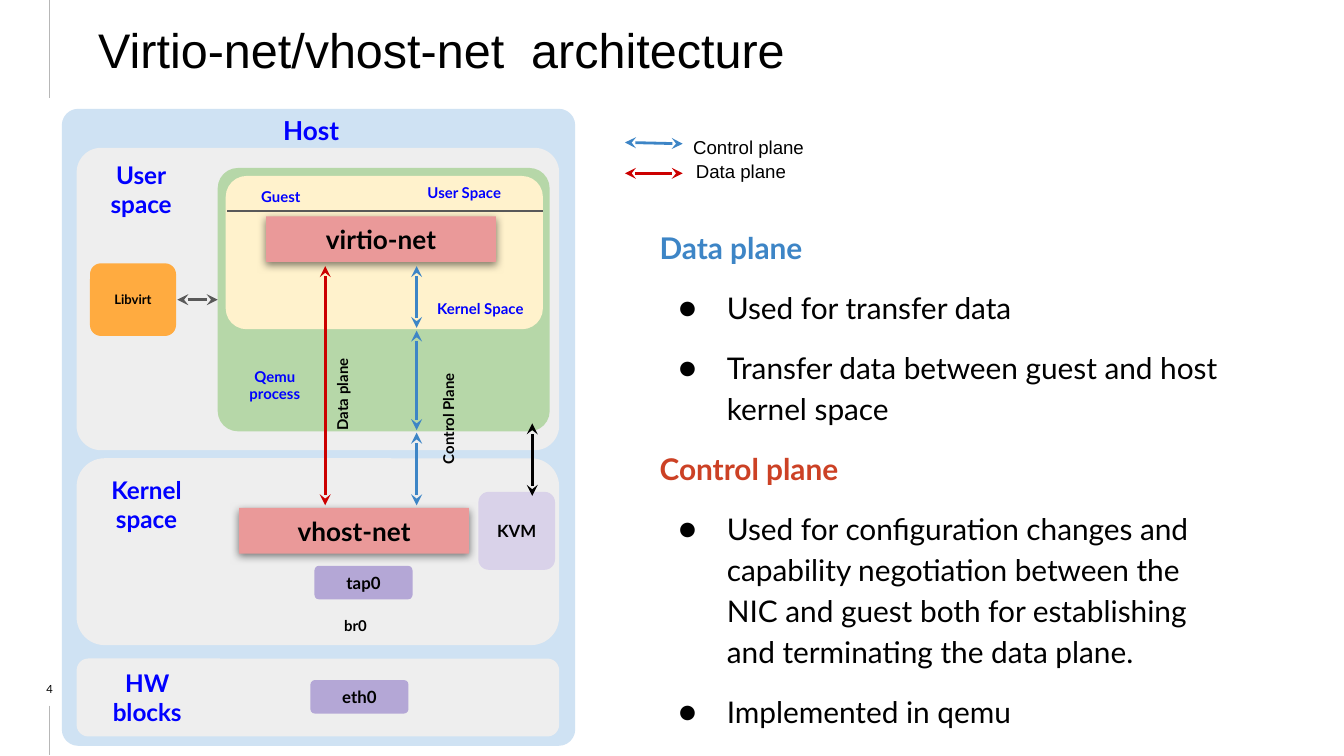
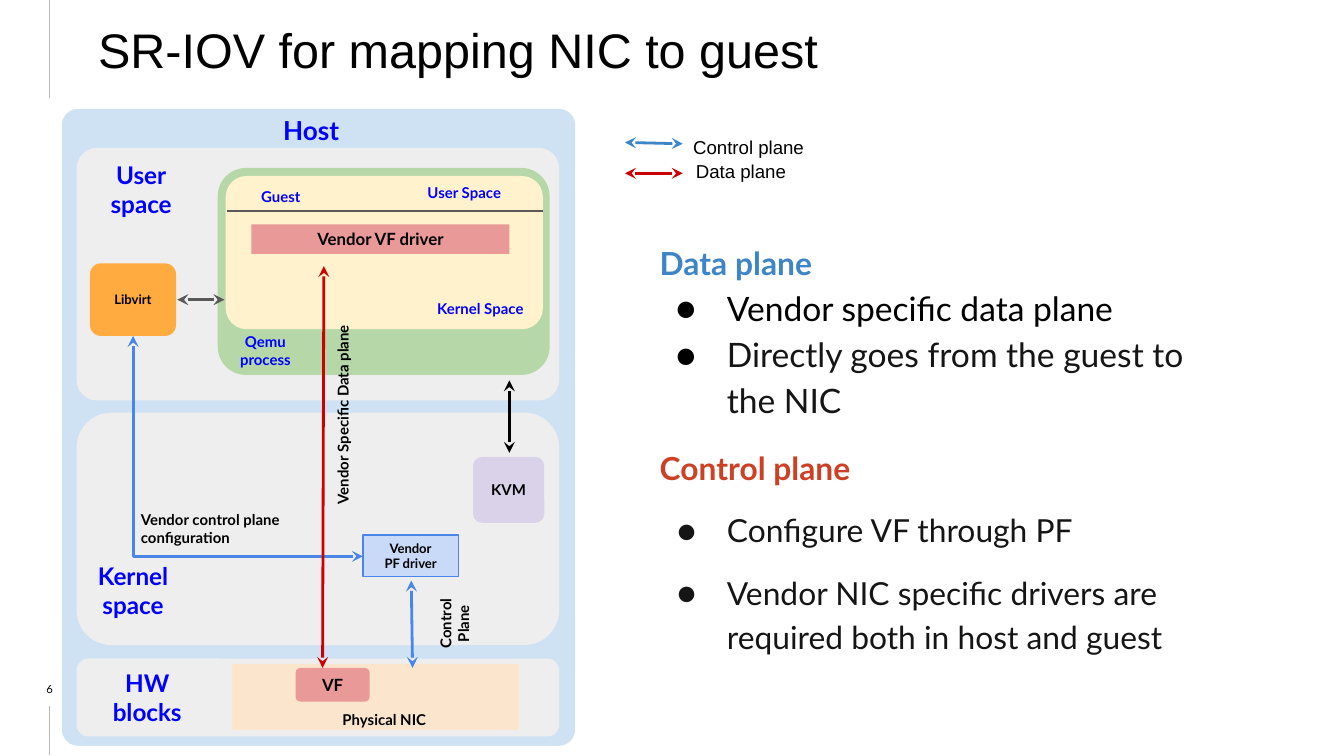
from dataclasses import dataclass
from typing import Any

from lxml.etree import SubElement
from pptx import Presentation
from pptx.dml.color import RGBColor
from pptx.enum.shapes import MSO_CONNECTOR, MSO_SHAPE
from pptx.enum.text import MSO_ANCHOR, MSO_AUTO_SIZE, PP_ALIGN
from pptx.oxml.ns import qn
from pptx.util import Inches, Pt


@dataclass(frozen=True)
class Theme:
    title_font: str = "Arial"
    body_font: str = "Lato"
    black: str = "000000"
    ink: str = "151515"
    label_blue: str = "0000FF"
    control: str = "3D85C6"
    vendor_control: str = "4A86E8"
    data: str = "CC0000"
    control_heading: str = "CC4125"
    rule: str = "B7B7B7"
    gray_line: str = "595959"
    host: str = "CFE2F3"
    space: str = "EEEEEE"
    qemu: str = "B6D7A8"
    guest: str = "FFF2CC"
    libvirt: str = "FFAB40"
    driver: str = "EA9999"
    device: str = "B4A7D6"
    kvm: str = "D9D2E9"
    nic: str = "FCE5CD"
    pf_driver: str = "C9DAF8"
    title_size: int = 26
    host_size: int = 14
    space_size: int = 13
    legend_size: int = 10
    block_size: int = 9
    label_size: int = 8
    small_size: int = 7
    number_size: int = 6


THEME = Theme()


def rgb(color):
    return RGBColor.from_string(color)


def add_bullet(paragraph, color, indent):
    properties = paragraph._p.get_or_add_pPr()
    properties.set("marL", str(Inches(0.5)))
    properties.set("indent", str(-Inches(indent)))
    bullet_color = SubElement(properties, qn("a:buClr"))
    SubElement(bullet_color, qn("a:srgbClr"), val=color)
    SubElement(properties, qn("a:buFont"), typeface=THEME.body_font)
    SubElement(properties, qn("a:buChar"), char="●")


def write_text(frame, text, *, size, color=THEME.black, bold=False, font=THEME.body_font,
               align=PP_ALIGN.LEFT, spacing=None, before=0, bullet=None, indent=0.36):
    """Append each line of the text to the frame as a paragraph."""
    for line in text.split("\n"):
        first = not frame.paragraphs[0].runs
        paragraph = frame.paragraphs[0] if first else frame.add_paragraph()
        if bullet:
            add_bullet(paragraph, bullet, indent)
        paragraph.alignment = align
        if spacing:
            paragraph.line_spacing = spacing
        if before and not first:
            paragraph.space_before = Pt(before)
        run = paragraph.add_run()
        run.text = line
        run.font.name = font
        run.font.size = Pt(size)
        run.font.bold = bold
        run.font.color.rgb = rgb(color)


def prepare_frame(shape, anchor, margins=(0.1, 0.1, 0.1, 0.1)):
    frame = shape.text_frame
    frame.word_wrap = True
    frame.auto_size = MSO_AUTO_SIZE.NONE
    frame.vertical_anchor = anchor
    (frame.margin_left, frame.margin_top,
     frame.margin_right, frame.margin_bottom) = map(Inches, margins)
    return frame


def add_shadow(shape):
    effects = shape._element.spPr.find(qn("a:effectLst"))
    shadow = SubElement(effects, qn("a:outerShdw"), blurRad=str(Pt(4.5)), dist=str(Pt(1.5)),
                        dir="5400000", algn="bl", rotWithShape="0")
    shadow_color = SubElement(shadow, qn("a:srgbClr"), val=THEME.black)
    SubElement(shadow_color, qn("a:alpha"), val="50000")


@dataclass
class Region:
    """A part of the slide; lengths are inches from its top left corner."""
    shapes: Any
    left: float = 0
    top: float = 0

    def place(self, x, y):
        return Inches(self.left + x), Inches(self.top + y)

    def block(self, x, y, width, height, fill, text="", corner=None, line=None,
              size=THEME.block_size, shadow=False):
        kind = MSO_SHAPE.RECTANGLE if corner is None else MSO_SHAPE.ROUNDED_RECTANGLE
        shape = self.shapes.add_shape(kind, *self.place(x, y), Inches(width), Inches(height))
        shape.shadow.inherit = False
        if corner is not None:
            shape.adjustments[0] = corner
        shape.fill.solid()
        shape.fill.fore_color.rgb = rgb(fill)
        if line:
            shape.line.color.rgb = rgb(line)
            shape.line.width = Pt(0.75)
        else:
            shape.line.fill.background()
        if shadow:
            add_shadow(shape)
        if text:
            write_text(prepare_frame(shape, MSO_ANCHOR.MIDDLE), text, size=size, bold=True,
                       align=PP_ALIGN.CENTER)

    def text_box(self, x, y, width, height, anchor=MSO_ANCHOR.TOP, margins=(0.1,) * 4):
        box = self.shapes.add_textbox(*self.place(x, y), Inches(width), Inches(height))
        return box, prepare_frame(box, anchor, margins)

    def label(self, x, y, width, height, text, size=THEME.label_size,
              color=THEME.label_blue, rotation=0, align=PP_ALIGN.CENTER):
        box, frame = self.text_box(x, y, width, height, MSO_ANCHOR.MIDDLE)
        box.rotation = rotation
        write_text(frame, text, size=size, color=color, bold=True, align=align)

    def line(self, start, end, color, width=1.5, arrows=False, kind=MSO_CONNECTOR.STRAIGHT):
        connector = self.shapes.add_connector(kind, *self.place(*start), *self.place(*end))
        connector.line.color.rgb = rgb(color)
        connector.line.width = Pt(width)
        if arrows:
            for end_name in ("a:headEnd", "a:tailEnd"):
                SubElement(connector.line._get_or_add_ln(), qn(end_name), type="stealth")
        SubElement(connector._element.spPr, qn("a:effectLst"))
        return connector

    def arrow(self, start, end, color):
        self.line(start, end, color, arrows=True)

    def down_then_right_arrow(self, start, end, color):
        """An elbow is a single bend, turned a quarter and mirrored about its centre."""
        (x1, y1), (x2, y2) = start, end
        center_x, center_y = (x1 + x2) / 2, (y1 + y2) / 2
        half_width, half_height = (y2 - y1) / 2, (x2 - x1) / 2
        connector = self.line((center_x + half_width, center_y - half_height),
                              (center_x - half_width, center_y + half_height),
                              color, arrows=True, kind=MSO_CONNECTOR.ELBOW)
        properties = connector._element.spPr
        properties.find(qn("a:prstGeom")).set("prst", "bentConnector2")
        properties.find(qn("a:xfrm")).set("rot", "16200000")


def grouped_region(slide, left, top):
    return Region(slide.shapes.add_group_shape().shapes, left, top)


def add_titled_slide(presentation, title, number):
    slide = presentation.slides.add_slide(presentation.slide_layouts[5])
    page = Region(slide.shapes)
    for start, end in ((0, 0.73), (5.25, 5.62)):
        page.line((0.37, start), (0.37, end), THEME.rule, width=0.75)
    shape = slide.shapes.title
    shape.left, shape.top, shape.width, shape.height = map(Inches, (0.37, 0.05, 8.71, 0.63))
    write_text(prepare_frame(shape, MSO_ANCHOR.MIDDLE, (0.36, 0.07, 0.07, 0.07)), title,
               size=THEME.title_size, font=THEME.title_font)
    _, frame = page.text_box(0.07, 5.06, 0.6, 0.12, MSO_ANCHOR.BOTTOM, (0,) * 4)
    write_text(frame, str(number), size=THEME.number_size, align=PP_ALIGN.CENTER)
    return slide


def draw_legend(region):
    entries = (("Control plane", THEME.control, 0.15, 0.16, 0.41, 0, 1.43),
               ("Data plane", THEME.data, 0.38, 0.38, 0.43, 0.18, 0.87))
    for text, color, arrow_start, arrow_end, text_left, text_top, width in entries:
        region.arrow((0, arrow_start), (0.43, arrow_end), color)
        _, frame = region.text_box(text_left, text_top, width, 0.4)
        write_text(frame, text, size=THEME.legend_size, font=THEME.title_font)


def draw_notes(region, width, height, paragraphs):
    box, frame = region.text_box(0, 0, width, height)
    for text, style in paragraphs:
        write_text(frame, text, **style)
    frame.auto_size = MSO_AUTO_SIZE.SHAPE_TO_FIT_TEXT


def draw_host(region, user_height, kernel_top, qemu_height, qemu_corner, qemu_label,
              kernel_label, libvirt_link_end):
    kernel_bottom = 3.99
    region.block(0, 0, 3.82, 4.74, THEME.host, corner=0.032)
    for top, height, corner in ((0.29, user_height, 0.081),
                                (kernel_top, kernel_bottom - kernel_top, 0.15),
                                (4.09, 0.58, 0.15)):
        region.block(0.11, top, 3.59, height, THEME.space, corner=corner)
    region.block(0.21, 1.15, 0.64, 0.54, THEME.libvirt, "Libvirt", corner=0.15,
                 size=THEME.small_size)
    region.block(1.16, 0.44, 2.47, qemu_height, THEME.qemu, corner=qemu_corner)
    region.block(1.22, 0.5, 2.36, 1.14, THEME.guest, corner=0.136)
    region.label(1.38, 0, 0.95, 0.31, "Host", THEME.host_size)
    region.label(0.13, 0.33, 0.92, 0.54, "User\nspace", THEME.space_size)
    region.label(*kernel_label, 1.06, 0.62, "Kernel\nspace", THEME.space_size)
    region.label(0.14, 4.17, 0.99, 0.42, "HW\nblocks", THEME.space_size)
    region.label(1.32, 0.5, 0.62, 0.31, "Guest")
    region.label(2.56, 0.47, 0.87, 0.31, "User Space")
    region.label(2.68, 1.33, 0.87, 0.31, "Kernel Space")
    region.label(*qemu_label, 0.71, 0.31, "Qemu\nprocess")
    region.line((1.23, 0.76), (3.58, 0.76), THEME.gray_line)
    region.arrow((0.86, 1.42), (libvirt_link_end, 1.42), THEME.gray_line)


def draw_vhost_parts(region):
    region.block(3.1, 2.85, 0.57, 0.58, THEME.kvm, "KVM", corner=0.136)
    for x, y, text in ((1.88, 3.4, "tap0"), (1.85, 4.25, "eth0")):
        region.block(x, y, 0.73, 0.25, THEME.device, text, corner=0.136)
    for x, y, text in ((1.52, 0.8, "virtio-net"), (1.32, 2.97, "vhost-net")):
        region.block(x, y, 1.71, 0.34, THEME.driver, text, size=THEME.host_size, shadow=True)
    region.label(1.83, 3.69, 0.71, 0.31, "br0", color=THEME.black)
    for x, y, text in ((2.33, 2.15, "Control Plane"), (1.54, 1.97, "Data plane")):
        region.label(x, y, 1.09, 0.31, text, color=THEME.black, rotation=270)
    region.arrow((1.96, 2.95), (1.96, 1.17), THEME.data)
    for bottom, top in ((1.63, 1.17), (2.39, 1.65), (2.95, 2.41)):
        region.arrow((2.64, bottom), (2.64, top), THEME.control)
    region.arrow((3.5, 2.88), (3.5, 2.34), THEME.black)


def draw_vendor_parts(region):
    region.block(3.06, 2.59, 0.53, 0.49, THEME.kvm, "KVM", corner=0.136,
                 size=THEME.label_size)
    region.block(1.41, 0.86, 1.92, 0.22, THEME.driver, "Vendor VF driver")
    region.block(1.27, 4.13, 2.13, 0.49, THEME.nic)
    region.block(1.74, 4.16, 0.55, 0.25, THEME.driver, "VF", corner=0.136)
    region.block(2.24, 3.17, 0.71, 0.31, THEME.pf_driver, "Vendor\nPF driver",
                 line=THEME.vendor_control, size=THEME.small_size)
    region.label(1.21, 2.12, 1.76, 0.31, "Vendor Specific Data plane", color=THEME.black,
                 rotation=270)
    region.label(2.6, 3.62, 0.64, 0.42, "Control Plane", color=THEME.black, rotation=270)
    region.label(0.49, 2.97, 1.37, 0.31, "Vendor control plane configuration",
                 color=THEME.black, align=PP_ALIGN.LEFT)
    region.label(1.78, 4.42, 1.24, 0.25, "Physical NIC", color=THEME.black)
    region.arrow((3.33, 2.56), (3.33, 2.02), THEME.black)
    region.down_then_right_arrow((0.53, 1.69), (2.24, 3.33), THEME.vendor_control)
    region.arrow((2.61, 4.16), (2.6, 3.51), THEME.vendor_control)
    region.arrow((1.94, 4.16), (1.95, 1.17), THEME.data)


def build_vhost_slide(presentation):
    slide = add_titled_slide(presentation, "Virtio-net/vhost-net  architecture", 4)
    base = dict(size=16, spacing=1.15, before=10)
    heading = dict(base, bold=True)
    item = dict(base, bullet=THEME.black)
    draw_notes(Region(slide.shapes, 4.81, 1.57), 4.42, 3.96, (
        ("Data plane", dict(heading, color=THEME.control)),
        ("Used for transfer data\n"
         "Transfer data between guest and host kernel space", item),
        ("Control plane", dict(heading, color=THEME.control_heading)),
        ("Used for configuration changes and capability negotiation between the NIC and "
         "guest both for establishing and terminating the data plane.\n"
         "Implemented in qemu", item)))
    diagram = grouped_region(slide, 0.46, 0.81)
    draw_host(diagram, user_height=2.25, kernel_top=2.6, qemu_height=1.96, qemu_corner=0.077,
              qemu_label=(1.23, 1.9), kernel_label=(0.1, 2.63), libvirt_link_end=1.16)
    draw_vhost_parts(diagram)
    draw_legend(grouped_region(slide, 4.65, 0.91))


def build_sriov_slide(presentation):
    slide = add_titled_slide(presentation, "SR-IOV for mapping NIC to guest", 6)
    heading = dict(size=17, bold=True, before=12)
    data_item = dict(size=18, spacing=1.15, bullet=THEME.black, indent=0.38)
    control_item = dict(size=17, spacing=1.15, before=10, color=THEME.ink,
                        bullet=THEME.ink, indent=0.37)
    draw_notes(Region(slide.shapes, 4.81, 1.57), 4.39, 3.4, (
        ("Data plane", dict(heading, color=THEME.control, spacing=1.5)),
        ("Vendor specific data plane", data_item),
        ("Directly goes from the guest to the NIC", dict(data_item, color=THEME.ink)),
        ("Control plane", dict(heading, color=THEME.control_heading, spacing=1.15)),
        ("Configure VF through PF\n"
         "Vendor NIC specific drivers are required both in host and guest", control_item)))
    draw_legend(grouped_region(slide, 4.65, 0.91))
    diagram = Region(slide.shapes, 0.46, 0.81)
    draw_host(diagram, user_height=1.88, kernel_top=2.26, qemu_height=1.54, qemu_corner=0.136,
              qemu_label=(1.16, 1.64), kernel_label=(0, 3.27), libvirt_link_end=1.21)
    draw_vendor_parts(diagram)


def main():
    presentation = Presentation()
    presentation.slide_width = Inches(10)
    presentation.slide_height = Inches(10) * 9 // 16
    build_vhost_slide(presentation)
    build_sriov_slide(presentation)
    presentation.save("out.pptx")


if __name__ == "__main__":
    main()
